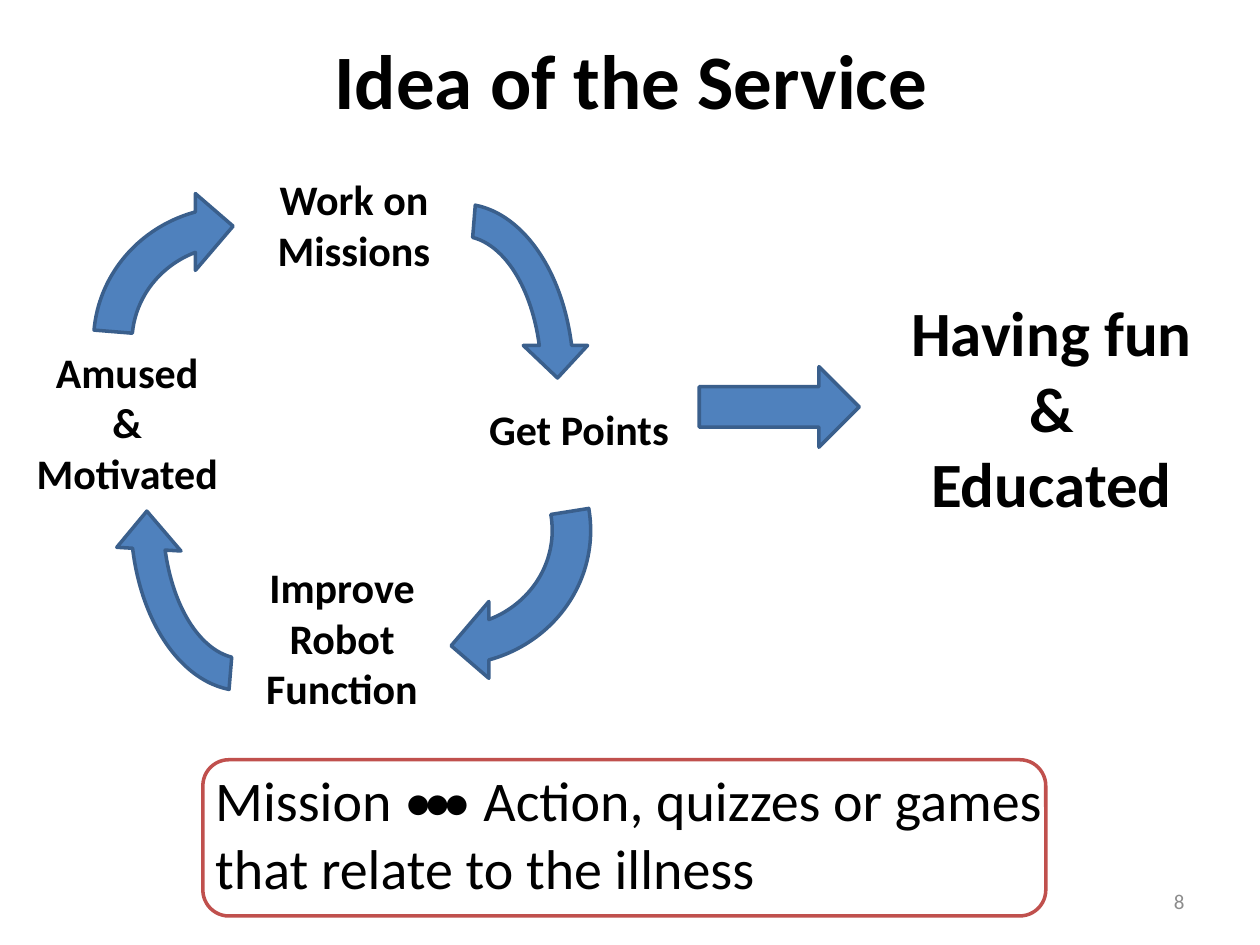
from pptx import Presentation
from pptx.dml.color import RGBColor
from pptx.enum.shapes import MSO_SHAPE
from pptx.enum.text import MSO_ANCHOR, PP_ALIGN
from pptx.util import Inches, Pt

BLACK, GRAY, BLUE, NAVY, RED = "000000", "8C8C8C", "4F81BD", "3A5F8C", "C0504D"
DOTS = "•••"

# Paragraphs, (left, top, width, height), format
TEXTS = [
    (["Idea of the Service"], (0.51, 0, 9, 1.25), dict(size=44, anchor=MSO_ANCHOR.MIDDLE)),
    (["Work on Missions"], (1.77, 1.33, 2.08, 0.91), {}),
    (["Get Points"], (3.5, 3.15, 2.19, 0.5), {}),
    (["Improve Robot Function"], (1.61, 4.41, 2.21, 1.31), {}),
    (["Amused", "&", "Motivated"], (-0.02, 2.7, 2.06, 1.31), {}),
    (["Having fun", "&", "Educated"], (6.87, 2.28, 2.95, 1.92), dict(size=36)),
    ([f"Mission {DOTS} Action, quizzes or games\vthat relate to the illness"],
     (1.61, 6.03, 7.48, 1.18), dict(size=32, bold=False, align=PP_ALIGN.LEFT)),
    (["8"], (7.17, 6.95, 2.33, 0.4),
     dict(size=12, bold=False, color=GRAY, align=PP_ALIGN.RIGHT, anchor=MSO_ANCHOR.MIDDLE)),
]

# (left, top, width, height), rotation, arrowhead angle, start angle
CYCLE_ARROWS = [
    ((2.64, 1.49, 2.04, 3.02), 0, 11.42, 164.81),
    ((2.36, 2.95, 2.44, 2.52), 90, 11.42, 156.55),
    ((0.91, 2.59, 2.04, 3.02), 180, 13.39, 164.81),
    ((0.63, 1.45, 2.44, 2.52), 270, 11.42, 164.81),
]
RESULT_ARROW = (5.55, 2.91, 1.27, 0.64)
MISSION_FRAME = (1.61, 6.03, 6.69, 1.24)


def rgb(value):
    return RGBColor.from_string(value)


def add_spans(para, text):
    """Fill the paragraph, with the dots in a tighter span of their own."""
    before, dots, after = text.partition(DOTS)
    for part in filter(None, (before, dots, after)):
        for index, line in enumerate(part.split("\v")):
            if index:
                para.add_line_break()
            span = para.add_run()
            span.text = line
            if line == DOTS:
                span._r.get_or_add_rPr().set("spc", "-500")


def add_text(page, paragraphs, place, size=24, bold=True, color=BLACK,
             align=PP_ALIGN.CENTER, anchor=MSO_ANCHOR.TOP):
    frame = page.shapes.add_textbox(*map(Inches, place)).text_frame
    frame.word_wrap = True
    frame.vertical_anchor = anchor
    for index, text in enumerate(paragraphs):
        para = frame.add_paragraph() if index else frame.paragraphs[0]
        para.alignment = align
        add_spans(para, text)
        for span in para.runs:
            span.font.name = "Calibri"
            span.font.size = Pt(size)
            span.font.bold = bold
            span.font.color.rgb = rgb(color)


def add_outlined(page, kind, place, line, fill=None):
    shape = page.shapes.add_shape(kind, *map(Inches, place))
    shape.shadow.inherit = False
    if fill:
        shape.fill.solid()
        shape.fill.fore_color.rgb = rgb(fill)
    else:
        shape.fill.background()
    shape.line.color.rgb = rgb(line)
    shape.line.width = Pt(2)
    return shape


def main():
    deck = Presentation()
    deck.slide_width, deck.slide_height = Inches(10), Inches(7.5)
    page = deck.slides.add_slide(deck.slide_layouts[6])

    for place, rotation, head, start in CYCLE_ARROWS:
        arrow = add_outlined(page, MSO_SHAPE.CIRCULAR_ARROW, place, NAVY, BLUE)
        arrow.rotation = rotation
        for index, value in enumerate((0.125, head, 204.58, start, 0.125)):
            arrow.adjustments[index] = value
    add_outlined(page, MSO_SHAPE.RIGHT_ARROW, RESULT_ARROW, NAVY, BLUE)
    add_outlined(page, MSO_SHAPE.ROUNDED_RECTANGLE, MISSION_FRAME, RED)

    for paragraphs, place, style in TEXTS:
        add_text(page, paragraphs, place, **style)

    deck.save("out.pptx")


if __name__ == "__main__":
    main()
